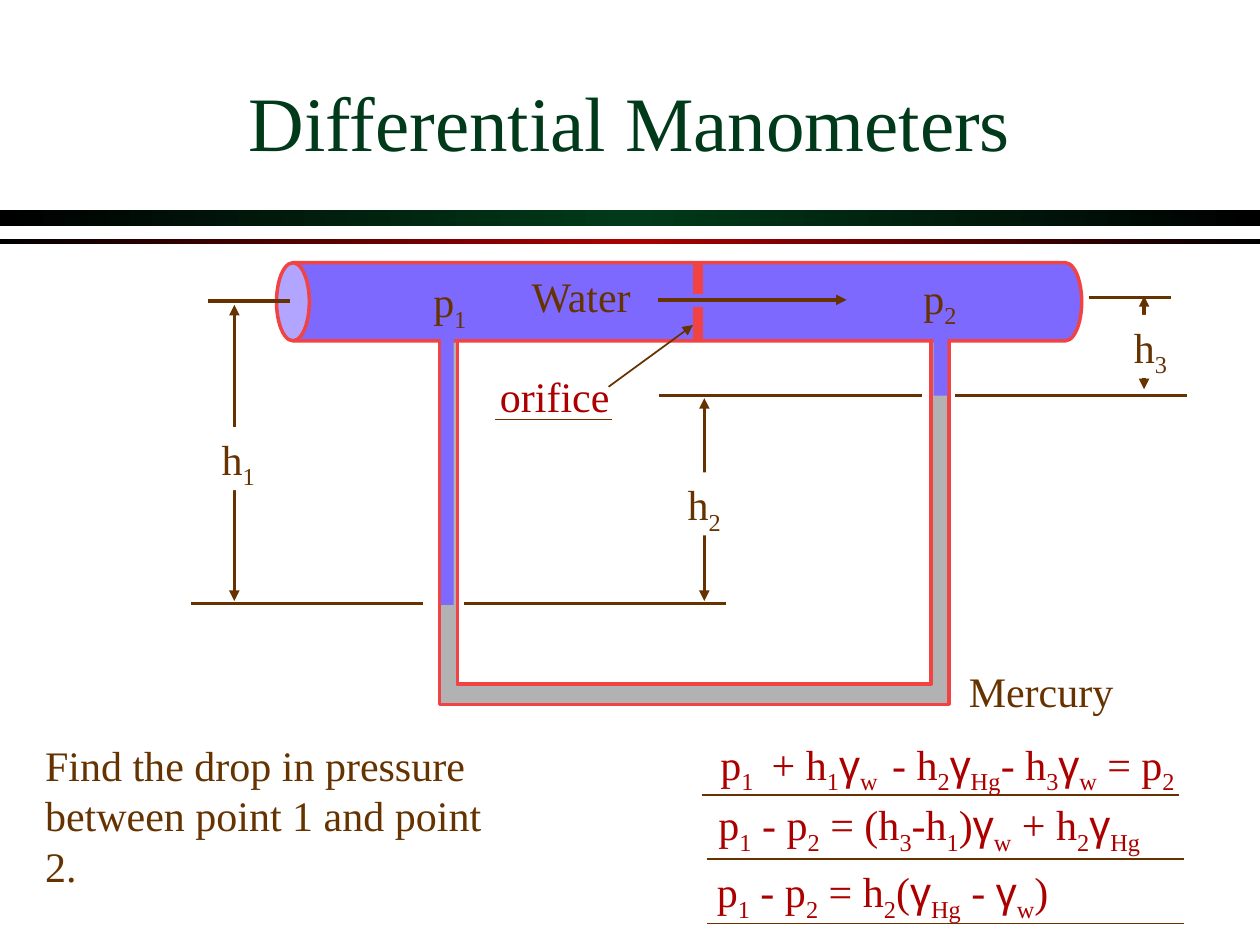
from copy import deepcopy
from dataclasses import dataclass
from itertools import groupby

from pptx import Presentation
from pptx.dml.color import RGBColor
from pptx.enum.shapes import MSO_CONNECTOR, MSO_SHAPE
from pptx.enum.text import MSO_ANCHOR, MSO_AUTO_SIZE, PP_ALIGN
from pptx.oxml import parse_xml
from pptx.oxml.ns import nsdecls, qn
from pptx.oxml.xmlchemy import OxmlElement
from pptx.util import Inches, Pt

CELL = Inches(0.1)  # the slide is a grid of 100 columns by 75 rows


@dataclass(frozen=True)
class Theme:
    font: str = "Times New Roman"
    greek_font: str = "Arial"
    title_size: int = 44
    body_size: int = 24
    thin: int = 1
    thick: int = 2
    plate: int = 6
    green: str = "003A1A"
    red: str = "AC0000"
    brown: str = "663300"
    black: str = "000000"
    white: str = "FFFFFF"
    water: str = "7E69FF"
    mercury: str = "B2B2B2"
    wall: str = "F14343"


@dataclass(frozen=True)
class Box:
    column: float
    row: float
    columns: float
    rows: float = 5

    def emu(self) -> list[int]:
        return [cells(v) for v in (self.column, self.row, self.columns, self.rows)]


@dataclass(frozen=True)
class Label:
    """Text between underscores is subscript."""
    text: str
    box: Box
    color: str
    fill: str = ""
    align: PP_ALIGN = PP_ALIGN.LEFT
    wrap: bool = False


@dataclass(frozen=True)
class Line:
    start: tuple[float, float]
    end: tuple[float, float]
    color: str
    width: int
    head: bool = False
    tail: bool = False


THEME = Theme()


def cells(count: float) -> int:
    return round(count * CELL)


def rgb(color: str) -> RGBColor:
    return RGBColor.from_string(color)


def paint(shape, fill: str, outline: str = "") -> None:
    shape.shadow.inherit = False
    shape.fill.solid()
    shape.fill.fore_color.rgb = rgb(fill)
    if outline:
        shape.line.color.rgb = rgb(outline)
        shape.line.width = Pt(THEME.thick)
    else:
        shape.line.fill.background()


def draw_block(slide, kind: MSO_SHAPE, box: Box, fill: str, outline: str = ""):
    shape = slide.shapes.add_shape(kind, *box.emu())
    paint(shape, fill, outline)
    return shape


def draw_rule(slide, box: Box, middle: str) -> None:
    """Draw a bar that fades to black at both ends."""
    shape = draw_block(slide, MSO_SHAPE.RECTANGLE, box, middle)
    shape.fill.gradient()
    shape.fill.gradient_angle = 0
    stop_list = shape._element.spPr.find(".//" + qn("a:gsLst"))
    stop_list.insert(1, deepcopy(stop_list[0]))
    colors = (THEME.black, middle, THEME.black)
    for stop, position, color in zip(shape.fill.gradient_stops, (0, 0.5, 1), colors):
        stop.position = position
        stop.color.rgb = rgb(color)


def draw_u(slide, left: float, right: float, top: float, bottom: float, fill: str) -> None:
    corners = [(left, top), (left, bottom), (right, bottom), (right, top)]
    points = [(cells(x), cells(y)) for x, y in corners]
    builder = slide.shapes.build_freeform(*points[0])
    builder.add_line_segments(points[1:], close=False)
    paint(builder.convert_to_shape(), fill, THEME.wall)


def draw_line(slide, line: Line) -> None:
    ends = [cells(v) for v in (*line.start, *line.end)]
    connector = slide.shapes.add_connector(MSO_CONNECTOR.STRAIGHT, *ends)
    connector.line.color.rgb = rgb(line.color)
    connector.line.width = Pt(line.width)
    properties = connector._element.spPr
    outline = properties.find(qn("a:ln"))
    for tag, wanted in (("a:headEnd", line.head), ("a:tailEnd", line.tail)):
        if wanted:
            arrow = OxmlElement(tag)
            arrow.set("type", "triangle")
            outline.append(arrow)
    properties.append(OxmlElement("a:effectLst"))


def write(paragraph, text: str, color: str, size: int) -> None:
    for index, part in enumerate(text.split("_")):
        for greek, letters in groupby(part, lambda letter: letter == "γ"):
            run = paragraph.add_run()
            run.text = "".join(letters)
            run.font.name = THEME.greek_font if greek else THEME.font
            run.font.size = Pt(size)
            run.font.color.rgb = rgb(color)
            if index % 2:
                run._r.get_or_add_rPr().set("baseline", "-25000")


def draw_label(slide, label: Label) -> None:
    shape = slide.shapes.add_textbox(*label.box.emu())
    if label.fill:
        shape.fill.solid()
        shape.fill.fore_color.rgb = rgb(label.fill)
    frame = shape.text_frame
    frame.word_wrap = label.wrap
    frame.auto_size = MSO_AUTO_SIZE.SHAPE_TO_FIT_TEXT
    paragraph = frame.paragraphs[0]
    paragraph.alignment = label.align
    write(paragraph, label.text, label.color, THEME.body_size)


def set_title(slide, text: str) -> None:
    title = slide.shapes.title
    title.left, title.top, title.width, title.height = Box(7.5, 3.3, 85, 12.5).emu()
    frame = title.text_frame
    frame.vertical_anchor = MSO_ANCHOR.MIDDLE
    paragraph = frame.paragraphs[0]
    paragraph.alignment = PP_ALIGN.CENTER
    write(paragraph, text, THEME.green, THEME.title_size)
    fill = paragraph.runs[0]._r.rPr.find(qn("a:solidFill"))
    fill.addnext(parse_xml(
        f'<a:effectLst {nsdecls("a")}><a:outerShdw dist="25400" dir="2700000">'
        f'<a:srgbClr val="{THEME.black}"/></a:outerShdw></a:effectLst>'))


def draw_apparatus(slide) -> None:
    draw_u(slide, 34.9, 75.3, 26.9, 55.9, THEME.mercury)
    draw_u(slide, 36.3, 73.9, 26.9, 54.3, THEME.white)
    pipe = draw_block(slide, MSO_SHAPE.CAN, Box(50.8, -8, 6.2, 63.9), THEME.water, THEME.wall)
    pipe.rotation = 270
    pipe.adjustments[0] = 0.42
    for column in (Box(35, 26.5, 1, 21.5), Box(74.1, 26.1, 1.1, 5.3)):
        draw_block(slide, MSO_SHAPE.RECTANGLE, column, THEME.water)
    for top, bottom in ((20.7, 23.3), (24.4, 27.1)):
        draw_line(slide, Line((55.4, top), (55.4, bottom), THEME.wall, THEME.plate))


def draw_dimensions(slide) -> None:
    levels = [(15.2, 33.6, 47.9), (36.8, 57.6, 47.9), (16.5, 23, 23.9),
              (52.3, 73.2, 31.4), (75.8, 94.2, 31.4), (86.4, 92.9, 23.6)]
    for left, right, row in levels:
        draw_line(slide, Line((left, row), (right, row), THEME.brown, THEME.thick))
    for column, top, bottom in ((18.6, 24.2, 47.7), (55.9, 31.6, 47.7), (90.8, 23.5, 30.9)):
        draw_line(slide, Line((column, top), (column, bottom), THEME.brown, THEME.thick, True, True))
    draw_line(slide, Line((52.2, 23.8), (67.2, 23.8), THEME.brown, THEME.thick, tail=True))
    draw_line(slide, Line((48.3, 30.7), (55, 25.8), THEME.brown, THEME.thin, tail=True))
    for left, right, row in ((39.3, 48.6, 33.3), (55.7, 93.6, 63.1),
                             (56.1, 94, 68.2), (56.1, 94, 73.3)):
        draw_line(slide, Line((left, row), (right, row), THEME.brown, THEME.thin))


def draw_labels(slide) -> None:
    for text, column, row in (("h_1_", 16.6, 33.9), ("h_2_", 53.6, 37.5), ("h_3_", 89, 25)):
        draw_label(slide, Label(text, Box(column, row, 4.8), THEME.brown, THEME.white))
    for text, box in (("p_1_", Box(33.4, 21.4, 4.8)), ("p_2_", Box(72.3, 21.1, 4.8)),
                      ("Water", Box(41.2, 21, 10.1)), ("Mercury", Box(75.9, 52.3, 13.5))):
        draw_label(slide, Label(text, box, THEME.brown))
    draw_label(slide, Label("orifice", Box(38.7, 28.9, 10.7), THEME.red))
    draw_label(slide, Label("Find the drop in pressure between point 1 and point 2.",
                            Box(2.6, 58.2, 39.6, 13), THEME.brown, wrap=True))
    equations = [("p_1_", Box(56.1, 58.1, 4.8)), ("+ h_1_γ_w_", Box(60.2, 58.1, 10.5)),
                 ("- h_2_γ_Hg_", Box(69.7, 58.1, 10.8)), ("- h_3_γ_w_", Box(78.4, 58.1, 9.7)),
                 ("= p_2_", Box(86.8, 58.1, 7.5)),
                 ("p_1_ - p_2_ = (h_3_-h_1_)γ_w_ + h_2_γ_Hg_", Box(55.7, 62.9, 36.1)),
                 ("p_1_ - p_2_ = h_2_(γ_Hg_ - γ_w_)", Box(55.7, 68.2, 28.7))]
    for text, box in equations:
        draw_label(slide, Label(text, box, THEME.red, align=PP_ALIGN.CENTER))


def main() -> None:
    presentation = Presentation()
    presentation.slide_width, presentation.slide_height = 100 * CELL, 75 * CELL
    slide = presentation.slides.add_slide(presentation.slide_layouts[5])
    draw_rule(slide, Box(0, 16.7, 100, 1.2), THEME.green)
    draw_rule(slide, Box(0, 19, 100, 0.4), THEME.red)
    set_title(slide, "Differential Manometers")
    draw_apparatus(slide)
    draw_dimensions(slide)
    draw_labels(slide)
    presentation.save("out.pptx")


if __name__ == "__main__":
    main()
